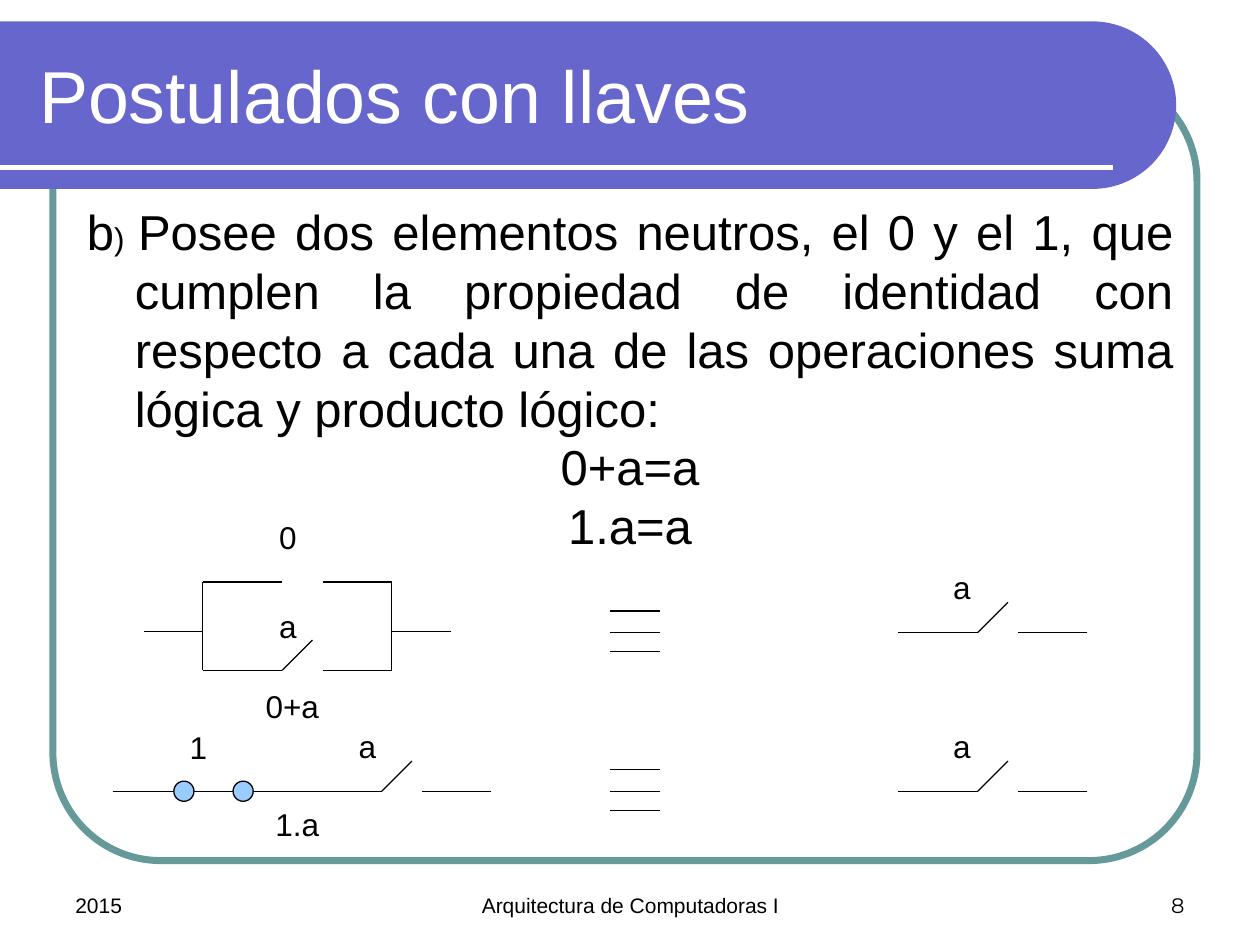
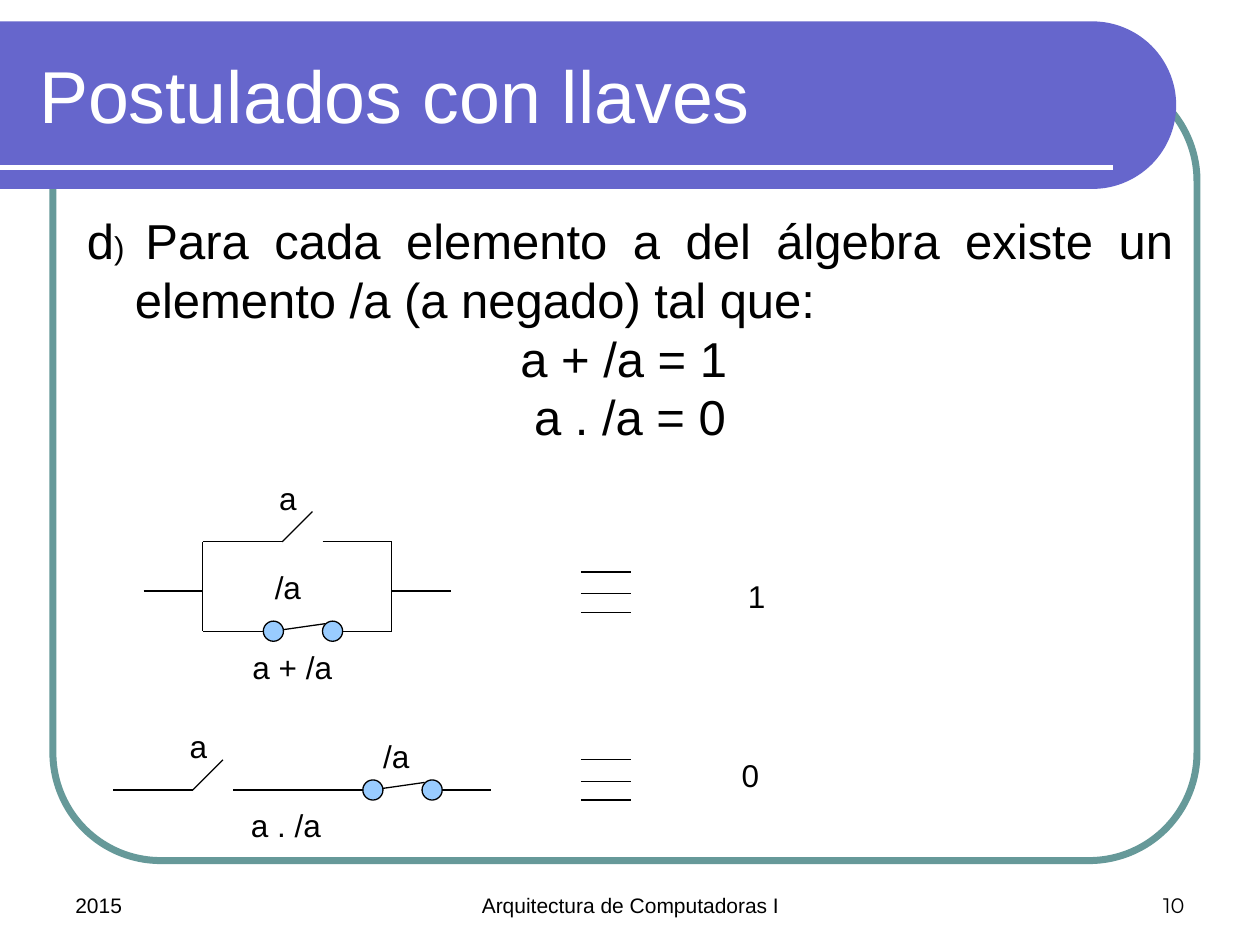
import math

from lxml import etree
from pptx import Presentation
from pptx.dml.color import RGBColor
from pptx.enum import shapes, text
from pptx.oxml import ns
from pptx.util import Inches, Pt

BLACK, WHITE = "000000", "FFFFFF"
BAND, FRAME, CONTACT = "6666CC", "669999", "99CCFF"
ALIGN = text.PP_ALIGN
ANCHOR = text.MSO_ANCHOR


def color(hex_string):
    return RGBColor.from_string(hex_string)


def place(shape, left, top, width, height):
    shape.left, shape.top = Inches(left), Inches(top)
    shape.width, shape.height = Inches(width), Inches(height)


class CircuitDeck:
    """Slide style, plus the symbols used in switch circuits."""

    font = "Arial"
    lead = 0.63        # wire before an open switch
    restart = 0.95     # where the wire resumes
    span = 1.5         # whole switch element
    contact = 0.16     # contact diameter

    def __init__(self):
        self.presentation = Presentation()
        self.presentation.slide_width = Inches(10)
        self.presentation.slide_height = Inches(7.5)
        self.slide = None

    # Basic elements
    def style(self, run, size, hex_string=BLACK, font=None):
        run.font.name = font or self.font
        run.font.size = Pt(size)
        run.font.color.rgb = color(hex_string)

    def line(self, x1, y1, x2, y2, hex_string=BLACK, weight=0.75):
        connector = self.slide.shapes.add_connector(
            shapes.MSO_CONNECTOR.STRAIGHT,
            Inches(x1), Inches(y1), Inches(x2), Inches(y2))
        connector.line.color.rgb = color(hex_string)
        connector.line.width = Pt(weight)
        etree.SubElement(connector.element.spPr, ns.qn("a:effectLst"))

    def shape(self, kind, left, top, width, height, fill, outline, weight):
        shape = self.slide.shapes.add_shape(
            kind, Inches(left), Inches(top), Inches(width), Inches(height))
        shape.shadow.inherit = False
        if fill:
            shape.fill.solid()
            shape.fill.fore_color.rgb = color(fill)
        else:
            shape.fill.background()
        shape.line.color.rgb = color(outline)
        shape.line.width = Pt(weight)
        return shape

    def text_box(self, words, left, top, width, height, size,
                 align=ALIGN.CENTER, anchor=ANCHOR.TOP, font=None):
        box = self.slide.shapes.add_textbox(
            Inches(left), Inches(top), Inches(width), Inches(height))
        frame = box.text_frame
        frame.text = words
        frame.word_wrap = True
        frame.vertical_anchor = anchor
        paragraph = frame.paragraphs[0]
        paragraph.alignment = align
        self.style(paragraph.runs[0], size, font=font)

    def label(self, words, left, top, width=0.55):
        self.text_box(words, left, top, width, 0.4, 18)

    # Slide furniture
    def band(self):
        radius, center_x, center_y = 0.665, 8.67, 0.835
        angles = [math.radians(degree) for degree in range(-90, 91, 3)]
        arc = [(center_x + radius * math.cos(angle),
                center_y + radius * math.sin(angle)) for angle in angles]
        builder = self.slide.shapes.build_freeform(0, Inches(0.17), scale=1.0)
        builder.add_line_segments(
            [(Inches(x), Inches(y)) for x, y in arc + [(0, 1.5)]], close=True)
        band = builder.convert_to_shape()
        band.shadow.inherit = False
        band.fill.solid()
        band.fill.fore_color.rgb = color(BAND)
        band.line.fill.background()

    def new_slide(self, title, number):
        layout = self.presentation.slide_layouts[1]
        self.slide = self.presentation.slides.add_slide(layout)
        frame = self.shape(shapes.MSO_SHAPE.ROUNDED_RECTANGLE,
                           0.42, 0.58, 9.08, 6.25, None, FRAME, 4)
        frame.adjustments[0] = 0.137
        self.band()
        self.line(0, 1.33, 8.83, 1.33, WHITE, 3)

        heading = self.slide.shapes.title
        place(heading, 0.21, 0.25, 6.83, 1)
        heading.text_frame.text = title
        heading.text_frame.vertical_anchor = ANCHOR.MIDDLE
        heading.text_frame.auto_size = text.MSO_AUTO_SIZE.NONE
        heading.text_frame.paragraphs[0].alignment = ALIGN.LEFT
        self.style(heading.text_frame.paragraphs[0].runs[0], 42, WHITE)
        # Bring the title in front of the band
        self.slide.shapes.element.append(heading.element)

        footers = (("2015", 0.5, 2.33, ALIGN.LEFT, self.font),
                   ("Arquitectura de Computadoras I", 3.42, 3.17,
                    ALIGN.CENTER, self.font),
                   (str(number), 7.17, 2.33, ALIGN.RIGHT, "Montserrat"))
        for words, left, width, align, font in footers:
            self.text_box(words, left, 6.83, width, 0.5, 12, align,
                          ANCHOR.BOTTOM, font)

    def postulate(self, letter, statement, equations, top, height):
        """Equations are (words, alignment, margin, indent)."""
        body = self.slide.placeholders[1]
        place(body, 0.59, top, 8.82, height)
        frame = body.text_frame
        frame.auto_size = text.MSO_AUTO_SIZE.NONE
        rows = [([(letter, 28), (") ", 18), (statement, 28)],
                 ALIGN.JUSTIFY, 0.38, -0.38)]
        rows += [([(words, 28)], *layout) for words, *layout in equations]
        for index, (pieces, align, margin, indent) in enumerate(rows):
            paragraph = frame.add_paragraph() if index else frame.paragraphs[0]
            properties = paragraph._p.get_or_add_pPr()
            properties.set("marL", str(Inches(margin)))
            properties.set("indent", str(Inches(indent)))
            etree.SubElement(properties, ns.qn("a:buNone"))
            paragraph.alignment = align
            paragraph.space_before = Pt(0)
            for words, size in pieces:
                run = paragraph.add_run()
                run.text = words
                self.style(run, size)

    # Circuit symbols
    def gap(self, x, y):
        self.line(x, y, x + self.lead, y)
        self.line(x + self.restart, y, x + self.span, y)

    def open_switch(self, x, y):
        self.gap(x, y)
        self.line(x + self.lead, y, x + self.lead + 0.24, y - 0.24)

    def closed_switch(self, x, y, rise=0.06):
        first, second = x + 0.48, x + self.restart
        self.line(x, y, first, y)
        self.line(second + self.contact, y, x + self.span, y)
        self.line(first + 0.07, y, second + 0.02, y - rise)
        for left in (first, second):
            self.shape(shapes.MSO_SHAPE.OVAL, left, y - self.contact / 2,
                       self.contact, self.contact, CONTACT, BLACK, 0.75)

    def parallel_rails(self, x, top, bottom):
        for rail, lead_start in ((x, x - 0.47), (x + self.span, x + self.span)):
            self.line(rail, top, rail, bottom)
            self.line(lead_start, top + 0.39, lead_start + 0.47, top + 0.39)

    def equivalence(self, x, y):
        for offset in (0, 0.17, 0.32):
            self.line(x, y + offset, x + 0.4, y + offset)


def neutral_elements(deck):
    deck.new_slide("Postulados con llaves", 8)
    centered = (ALIGN.CENTER, 0.38, -0.38)
    deck.postulate(
        "b",
        "Posee dos elementos neutros, el 0 y el 1, que cumplen la propiedad "
        "de identidad con respecto a cada una de las operaciones suma lógica "
        "y producto lógico:",
        [("0+a=a", *centered), ("1.a=a", *centered)], 1.55, 2.9)

    # Sum: 0 in parallel with a
    deck.parallel_rails(1.61, 4.62, 5.32)
    deck.gap(1.61, 4.62)
    deck.open_switch(1.61, 5.32)
    deck.label("0", 2.01, 4.06)
    deck.label("a", 2.01, 4.77)
    deck.label("0+a", 1.92, 5.4, 0.8)

    # Product: 1 in series with a
    deck.closed_switch(0.9, 6.28, rise=0)
    deck.open_switch(2.4, 6.28)
    deck.label("1", 1.3, 5.73)
    deck.label("a", 2.64, 5.72)
    deck.label("1.a", 1.96, 6.34, 0.8)

    # Both are equivalent to a
    for sign_top, switch_y in ((4.85, 5.02), (6.11, 6.28)):
        deck.equivalence(4.84, sign_top)
        deck.open_switch(7.13, switch_y)
        deck.label("a", 7.36, switch_y - 0.56)


def complement(deck):
    deck.new_slide("Postulados con llaves", 10)
    deck.postulate(
        "d",
        "Para cada elemento a del álgebra existe un elemento /a (a negado) "
        "tal que:",
        [("a + /a = 1", ALIGN.LEFT, 3.44, 0),
         ("a . /a = 0", ALIGN.CENTER, 0.38, -0.38)], 1.62, 1.97)

    # Sum: a in parallel with /a
    deck.parallel_rails(1.61, 4.3, 5.01)
    deck.open_switch(1.61, 4.3)
    deck.closed_switch(1.61, 5.01)
    deck.label("a", 2.01, 3.75)
    deck.label("/a", 2.01, 4.46)
    deck.label("a + /a", 1.82, 5.09, 1)

    # Product: a in series with /a
    deck.open_switch(0.9, 6.27)
    deck.closed_switch(2.4, 6.27)
    deck.label("a", 1.3, 5.72)
    deck.label("/a", 2.87, 5.8)
    deck.label("a . /a", 1.77, 6.35, 1)

    # Constant results
    for words, sign_top, left, top in (("1", 4.54, 5.73, 4.53),
                                       ("0", 6.03, 5.68, 5.95)):
        deck.equivalence(4.61, sign_top)
        deck.label(words, left, top)


def main():
    deck = CircuitDeck()
    neutral_elements(deck)
    complement(deck)
    deck.presentation.save("out.pptx")


if __name__ == "__main__":
    main()
